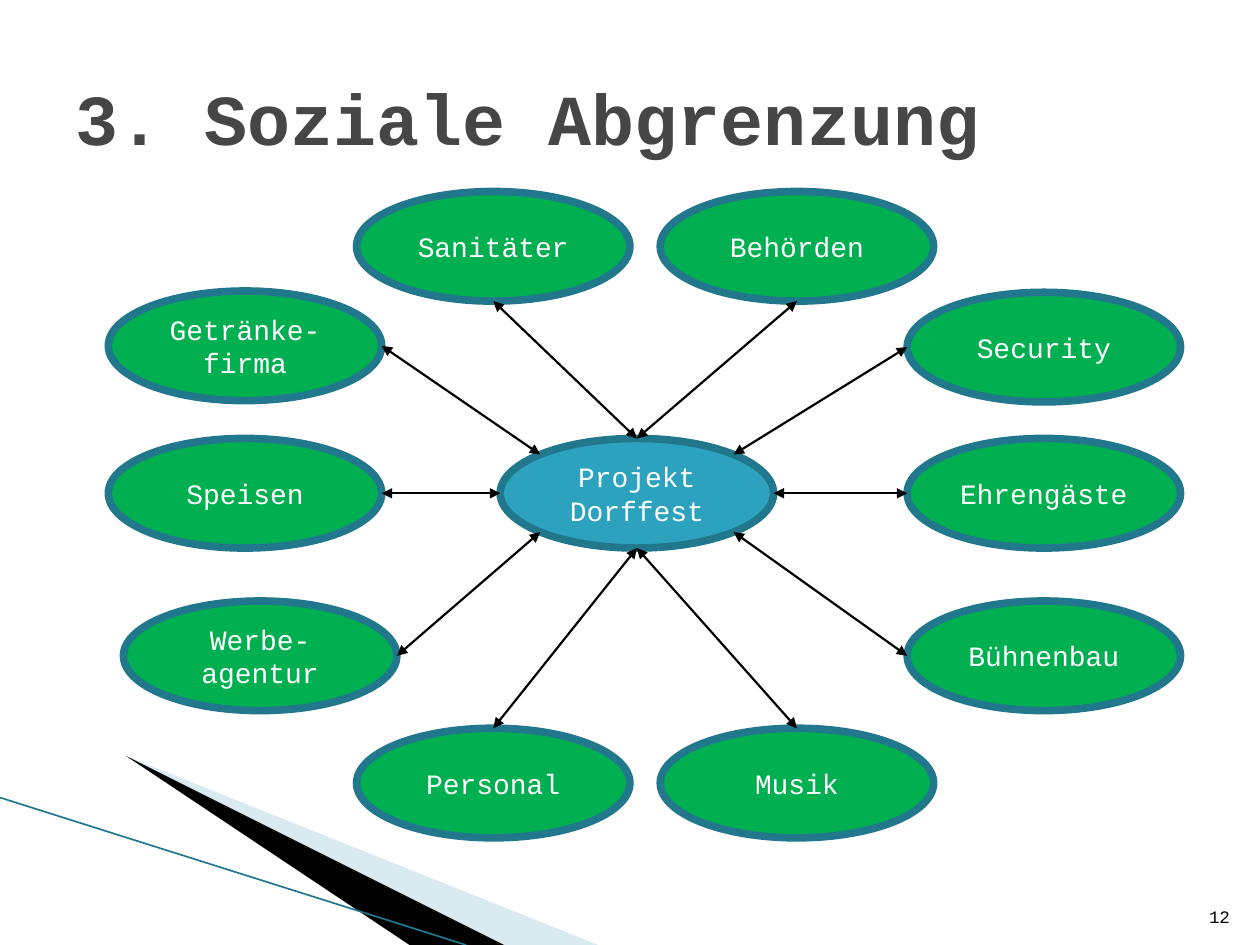
from math import cos, radians, sin

from lxml.etree import SubElement
from pptx import Presentation
from pptx.dml.color import RGBColor
from pptx.enum.shapes import MSO_CONNECTOR as Connector, MSO_SHAPE as Shape
from pptx.enum.text import MSO_ANCHOR as Anchor, PP_ALIGN as Align
from pptx.oxml.ns import qn
from pptx.util import Inches, Pt

FONT = "Courier New"
TEAL, BLUE, GREEN, BLACK, WHITE = "21788D", "2DA2BF", "00B050", "000000", "FFFFFF"
WIDTH, HEIGHT = 2.17, 0.87

PROJECT = ("Projekt\vDorffest", 3.97, 3.48)

TOP, TOP_LEFT, LEFT, BOTTOM_LEFT, BOTTOM, BOTTOM_RIGHT, RIGHT, TOP_RIGHT = range(8)

STAKEHOLDERS = [
    ("Getränke-firma", 0.86, 2.31, RIGHT, TOP_LEFT),
    ("Sanitäter", 2.83, 1.52, BOTTOM, TOP),
    ("Behörden", 5.24, 1.52, BOTTOM, TOP),
    ("Security", 7.2, 2.32, LEFT, TOP_RIGHT),
    ("Speisen", 0.86, 3.48, RIGHT, LEFT),
    ("Werbe-agentur", 0.98, 4.77, RIGHT, BOTTOM_LEFT),
    ("Personal", 2.83, 5.78, TOP, BOTTOM),
    ("Musik", 5.24, 5.78, TOP, BOTTOM),
    ("Bühnenbau", 7.2, 4.77, LEFT, BOTTOM_RIGHT),
    ("Ehrengäste", 7.2, 3.48, LEFT, RIGHT),
]

WEDGES = [
    ([(0.55, 6.5), (5.95, 7.5), (4.56, 7.5)], "A0CBDC", 40),
    ([(0.53, 6.49), (4.57, 7.5), (3.72, 7.5)], BLACK, 100),
]


def color(value):
    return RGBColor.from_string(value)


def style_text(frame, text, size, ink, align, anchor, bold=False):
    frame.text = text
    frame.word_wrap = True
    frame.vertical_anchor = anchor
    paragraph = frame.paragraphs[0]
    paragraph.alignment = align
    font = paragraph.font
    font.name, font.size, font.bold = FONT, Pt(size), bold
    font.color.rgb = color(ink)


def add_label(slide, box, *style, **options):
    label = slide.shapes.add_textbox(*map(Inches, box))
    style_text(label.text_frame, *style, **options)


def add_wedge(slide, points, fill, opacity):
    builder = slide.shapes.build_freeform(*points[0], scale=Inches(1))
    builder.add_line_segments(points[1:], close=True)
    wedge = builder.convert_to_shape()
    wedge.shadow.inherit = False
    wedge.line.fill.background()
    wedge.fill.solid()
    wedge.fill.fore_color.rgb = color(fill)
    if opacity < 100:
        tone = wedge._element.spPr.find(".//" + qn("a:srgbClr"))
        SubElement(tone, qn("a:alpha"), val=str(opacity * 1000))


def add_line(slide, start, end, ink, width):
    line = slide.shapes.add_connector(
        Connector.STRAIGHT, *map(Inches, (*start, *end)))
    line.line.color.rgb = color(ink)
    line.line.width = Pt(width)
    SubElement(line._element.spPr, qn("a:effectLst"))
    return line


def add_ellipse(slide, text, left, top, fill):
    ellipse = slide.shapes.add_shape(
        Shape.OVAL, *map(Inches, (left, top, WIDTH, HEIGHT)))
    ellipse.shadow.inherit = False
    ellipse.fill.solid()
    ellipse.fill.fore_color.rgb = color(fill)
    ellipse.line.color.rgb = color(TEAL)
    ellipse.line.width = Pt(4.33)
    frame = ellipse.text_frame
    frame.margin_left = frame.margin_right = Inches(0.05)
    style_text(frame, text, 16, WHITE, Align.CENTER, Anchor.MIDDLE)
    return ellipse


def site_point(left, top, site):
    angle = radians(45 * site)
    return (left + WIDTH / 2 * (1 - sin(angle)),
            top + HEIGHT / 2 * (1 - cos(angle)))


def add_arrow(slide, start, end, glued):
    arrow = add_line(slide, start, end, BLACK, 1.25)
    outline = arrow.line._get_or_add_ln()
    for tag in ("a:headEnd", "a:tailEnd"):
        SubElement(outline, qn(tag), type="triangle")
    links = arrow._element.find(".//" + qn("p:cNvCxnSpPr"))
    for tag, (ellipse, site) in zip(("a:stCxn", "a:endCxn"), glued):
        SubElement(links, qn(tag), id=str(ellipse.shape_id), idx=str(site))


def main():
    deck = Presentation()
    deck.slide_width, deck.slide_height = Inches(10), Inches(7.5)
    slide = deck.slides.add_slide(deck.slide_layouts[6])

    for wedge in WEDGES:
        add_wedge(slide, *wedge)
    add_line(slide, (0, 6.33), (3.7, 7.5), TEAL, 0.95)
    add_label(slide, (9.26, 7.01, 0.6, 0.4), "12", 10, BLACK,
              Align.RIGHT, Anchor.BOTTOM)
    add_label(slide, (0.5, 0.3, 9, 1.25), "3. Soziale Abgrenzung", 41, "464646",
              Align.LEFT, Anchor.MIDDLE, bold=True)

    project = add_ellipse(slide, *PROJECT, BLUE)
    partners = [add_ellipse(slide, *entry[:3], GREEN) for entry in STAKEHOLDERS]
    for partner, (_, left, top, site, hub_site) in zip(partners, STAKEHOLDERS):
        add_arrow(slide, site_point(left, top, site),
                  site_point(*PROJECT[1:], hub_site),
                  [(partner, site), (project, hub_site)])

    deck.save("out.pptx")


if __name__ == "__main__":
    main()
